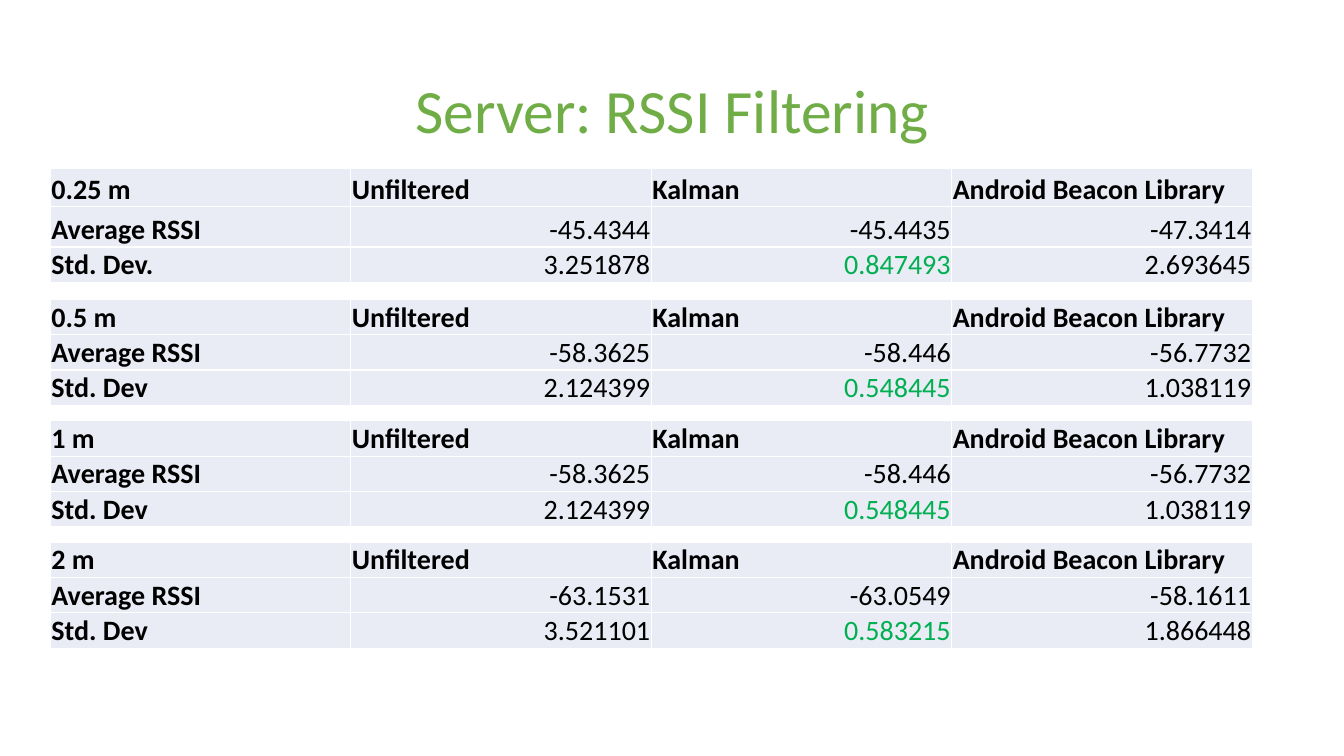
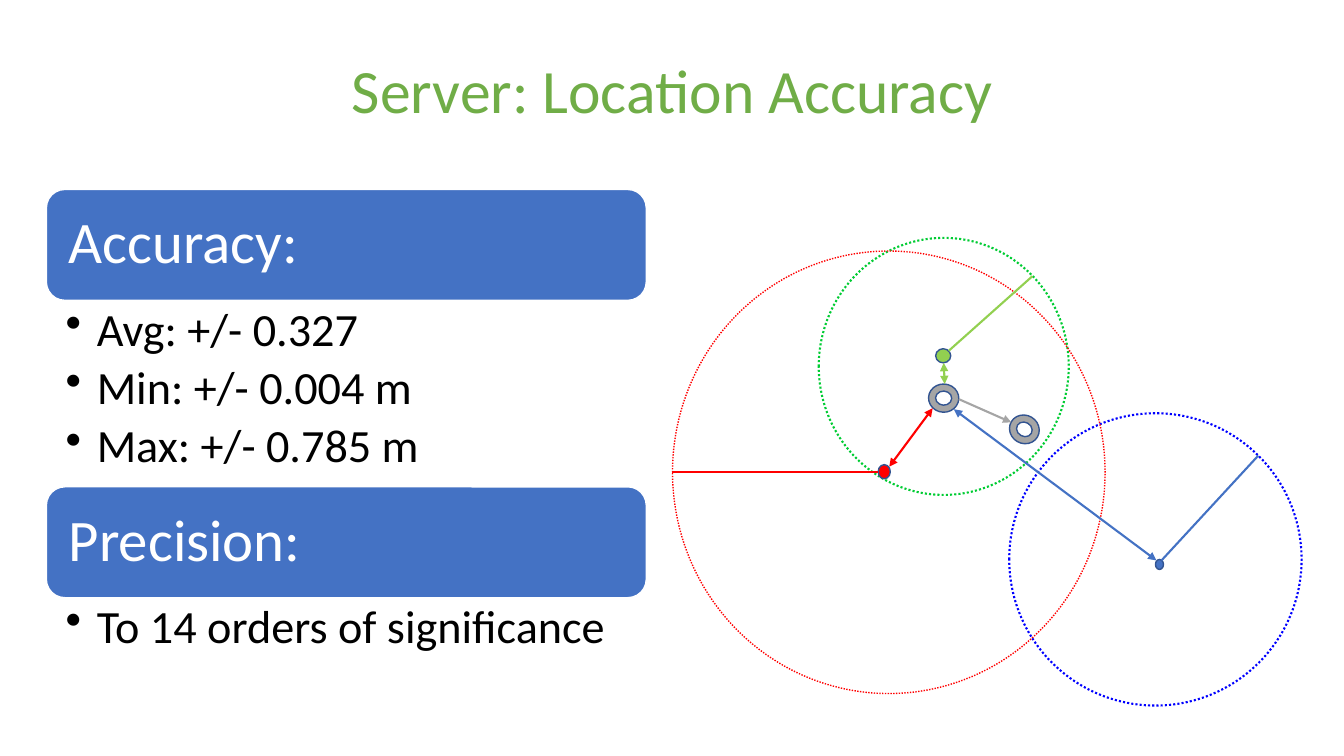
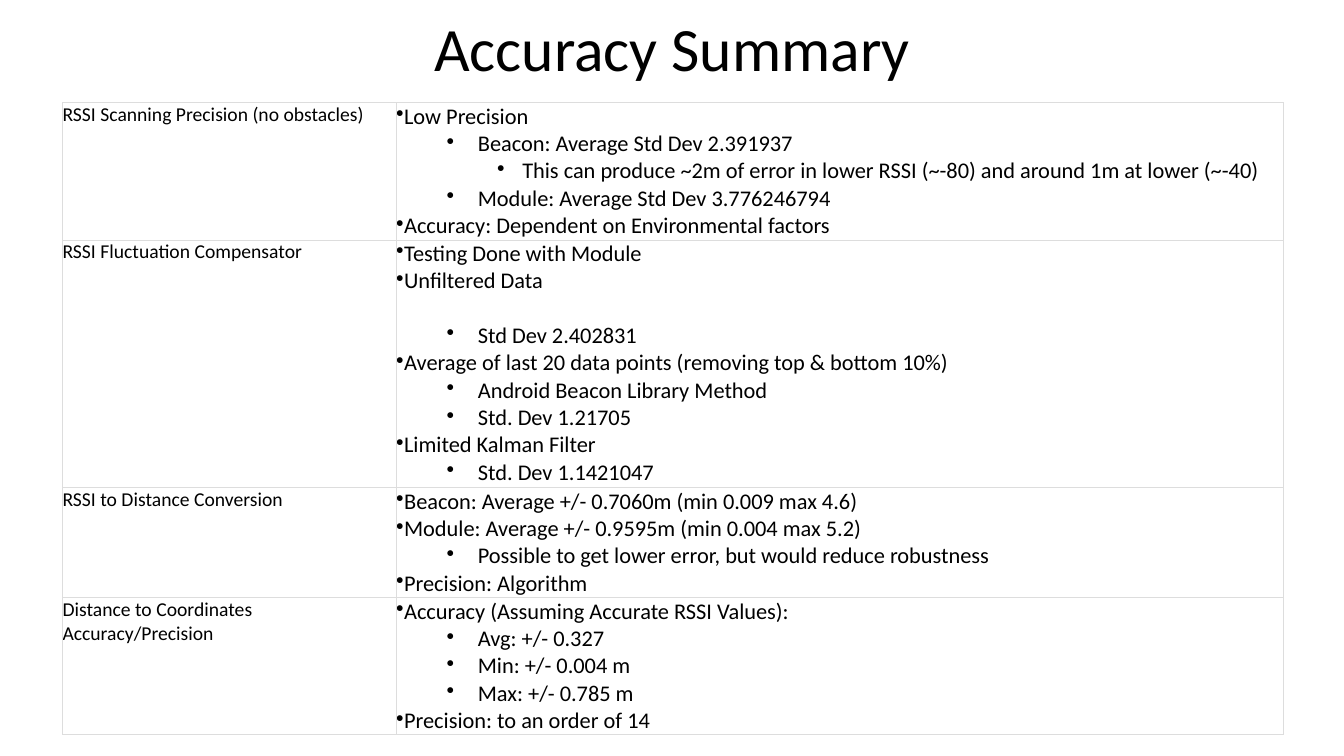
from lxml.etree import SubElement
from pptx import Presentation
from pptx.dml.color import RGBColor
from pptx.enum.dml import MSO_LINE
from pptx.enum.shapes import MSO_CONNECTOR, MSO_SHAPE
from pptx.enum.text import MSO_ANCHOR, PP_ALIGN
from pptx.oxml.ns import qn
from pptx.util import Inches, Pt

FONT = "Calibri"
COLORS = {
    "black": "000000",
    "white": "FFFFFF",
    "title": "70AD47",
    "best": "00B050",
    "cell": "E9EBF5",
    "grid": "DDDDDD",
    "blue": "4472C4",
    "outline": "325491",
    "red": "FF0000",
    "green": "92D050",
    "gray": "A5A5A5",
    "green_range": "00CC33",
    "blue_range": "0000FF",
}
# Left margin and hanging indent of each outline level in the summary table
LEVELS = [(0, 0), (0.81, 0.31), (1.25, 0.25)]


def rgb(name):
    return RGBColor.from_string(COLORS[name])


def write(frame, text, size=20, color="black", bold=False, align=PP_ALIGN.LEFT,
          spacing=None, after=0, bullet=None):
    """Add a paragraph; bullet is its left margin and hanging indent in inches."""
    paragraph = frame.paragraphs[0] if not frame.text else frame.add_paragraph()
    paragraph.alignment = align
    paragraph.space_after = Pt(after)
    if spacing:
        paragraph.line_spacing = spacing
    if bullet:
        margin, hanging = bullet
        properties = paragraph._p.get_or_add_pPr()
        properties.set("marL", str(Inches(margin)))
        properties.set("indent", str(-Inches(hanging)))
        SubElement(properties, qn("a:buChar"), char="•")
    run = paragraph.add_run()
    run.text = text
    run.font.name = FONT
    run.font.size = Pt(size)
    run.font.bold = bold
    run.font.color.rgb = rgb(color)


def set_insets(target, left, top, right, bottom):
    target.margin_left, target.margin_top = Inches(left), Inches(top)
    target.margin_right, target.margin_bottom = Inches(right), Inches(bottom)


class Deck:
    def __init__(self):
        self.presentation = Presentation()
        self.presentation.slide_width = Inches(13.33)
        self.presentation.slide_height = Inches(7.5)
        self.slide = None

    def new_slide(self, title, top, height=1.45, color="title"):
        self.slide = self.presentation.slides.add_slide(self.presentation.slide_layouts[6])
        frame = self.text_frame(0.92, top, 11.5, height)
        frame.vertical_anchor = MSO_ANCHOR.MIDDLE
        write(frame, title, size=44, color=color, align=PP_ALIGN.CENTER, spacing=0.9)

    def text_frame(self, left, top, width, height):
        box = self.slide.shapes.add_textbox(
            Inches(left), Inches(top), Inches(width), Inches(height))
        box.text_frame.word_wrap = True
        return box.text_frame

    def shape(self, kind, left, top, width, height, fill=None, line="outline",
              weight=1, dash=None, rotation=0):
        shape = self.slide.shapes.add_shape(
            kind, Inches(left), Inches(top), Inches(width), Inches(height))
        shape.shadow.inherit = False
        shape.rotation = rotation
        if fill:
            shape.fill.solid()
            shape.fill.fore_color.rgb = rgb(fill)
        else:
            shape.fill.background()
        shape.line.color.rgb = rgb(line)
        shape.line.width = Pt(weight)
        if dash:
            shape.line.dash_style = dash
        return shape

    def line(self, start, end, color, arrows=()):
        """Draw a line; arrows names its pointed ends, headEnd before tailEnd."""
        connector = self.slide.shapes.add_connector(
            MSO_CONNECTOR.STRAIGHT, *(Inches(value) for value in (*start, *end)))
        connector.line.color.rgb = rgb(color)
        connector.line.width = Pt(1.5)
        properties = connector._element.spPr
        for arrow in arrows:
            SubElement(properties.find(qn("a:ln")), qn(f"a:{arrow}"), type="triangle")
        SubElement(properties, qn("a:effectLst"))

    def table(self, left, top, widths, heights):
        table = self.slide.shapes.add_table(
            len(heights), len(widths), Inches(left), Inches(top),
            Inches(sum(widths)), Inches(sum(heights))).table
        table.first_row = table.horz_banding = False
        for column, width in zip(table.columns, widths):
            column.width = Inches(width)
        for row, height in zip(table.rows, heights):
            row.height = Inches(height)
        return table

    def style_cell(self, cell, fill, border, weight, insets, anchor):
        properties = cell._tc.get_or_add_tcPr()
        for side in ("lnL", "lnR", "lnT", "lnB"):
            edge = SubElement(properties, qn(f"a:{side}"), w=str(Pt(weight)))
            solid = SubElement(edge, qn("a:solidFill"))
            SubElement(solid, qn("a:srgbClr"), val=COLORS[border])
        cell.fill.solid()
        cell.fill.fore_color.rgb = rgb(fill)
        cell.vertical_anchor = anchor
        set_insets(cell, *insets)

    def rssi_table(self, top, distance, averages, deviations, label="Std. Dev",
                   heights=(0.35, 0.35, 0.35)):
        rows = [
            (distance, "Unfiltered", "Kalman", "Android Beacon Library"),
            ("Average RSSI", *averages),
            (label, *deviations),
        ]
        table = self.table(0.5, top, [2.98] * 4, heights)
        for i, row in enumerate(rows):
            for j, text in enumerate(row):
                cell = table.cell(i, j)
                self.style_cell(cell, "cell", "white", 1, (0.01, 0.01, 0.01, 0),
                                MSO_ANCHOR.BOTTOM)
                heading = i == 0 or j == 0
                write(cell.text_frame, text, bold=heading,
                      color="best" if (i, j) == (2, 2) else "black",
                      align=PP_ALIGN.LEFT if heading else PP_ALIGN.RIGHT)

    def result_block(self, top, heading, items, height):
        """Draw a blue heading bar with a bulleted list under it."""
        bar = self.shape(MSO_SHAPE.ROUNDED_RECTANGLE, 0.46, top, 5.95, 1.1, "blue", "white")
        bar.text_frame.vertical_anchor = MSO_ANCHOR.MIDDLE
        set_insets(bar.text_frame, 0.17, 0.17, 0.17, 0.17)
        write(bar.text_frame, heading, size=42, color="white", spacing=0.9)
        frame = self.text_frame(0.46, top + 1.1, 5.95, height)
        set_insets(frame, 0.19, 0.06, 0.33, 0.06)
        for item in items:
            write(frame, item, size=33, spacing=0.9, after=6, bullet=(0.31, 0.31))


def build_filtering(deck):
    deck.new_slide("Server: RSSI Filtering", 0.4)
    deck.rssi_table(1.67, "0.25 m", ("-45.4344", "-45.4435", "-47.3414"),
                    ("3.251878", "0.847493", "2.693645"),
                    label="Std. Dev.", heights=(0.38, 0.4, 0.35))
    middle = (("-58.3625", "-58.446", "-56.7732"), ("2.124399", "0.548445", "1.038119"))
    far = (("-63.1531", "-63.0549", "-58.1611"), ("3.521101", "0.583215", "1.866448"))
    for i, (distance, values) in enumerate((("0.5 m", middle), ("1 m", middle), ("2 m", far))):
        deck.rssi_table(2.97 + 1.205 * i, distance, *values)


def build_location(deck):
    deck.new_slide("Server: Location Accuracy", 0.2)
    ranges = [
        (8.12, 2.36, 2.48, 2.55, "green_range", 1.5),
        (10.01, 4.1, 2.9, 2.9, "blue_range", 1.5),
        (6.67, 2.49, 4.29, 4.39, "red", 1),
    ]
    for *place, color, weight in ranges:
        deck.shape(MSO_SHAPE.OVAL, *place, line=color, weight=weight, dash=MSO_LINE.ROUND_DOT)

    beacons = [
        (9.28, 3.46, 0.15, 0.14, "green"),
        (8.71, 4.61, 0.12, 0.14, "red"),
        (11.46, 5.55, 0.08, 0.1, "blue"),
    ]
    for beacon in beacons:
        deck.shape(MSO_SHAPE.FLOWCHART_CONNECTOR, *beacon)
    for left, top, rotation in ((9.21, 3.81, 2.5), (10.01, 4.12, 30.2)):
        deck.shape(MSO_SHAPE.DONUT, left, top, 0.3, 0.28, "gray", rotation=rotation)

    both = ("headEnd", "tailEnd")
    deck.line((8.82, 4.63), (9.25, 4.05), "red", both)
    deck.line((9.36, 3.6), (9.37, 3.81), "green", both)
    deck.line((9.46, 4.06), (11.47, 5.56), "blue", both)
    deck.line((10.24, 2.74), (9.41, 3.48), "green")
    deck.line((8.71, 4.68), (6.67, 4.68), "red")
    deck.line((12.48, 4.52), (11.52, 5.56), "blue")
    deck.line((9.51, 3.96), (10.03, 4.19), "gray", ("tailEnd",))

    deck.result_block(1.88, "Accuracy:",
                      ["Avg: +/- 0.327", "Min: +/- 0.004 m", "Max: +/- 0.785 m"], 1.85)
    deck.result_block(4.83, "Precision:", ["To 14 orders of significance"], 0.76)


def build_summary(deck):
    deck.new_slide("Accuracy Summary", 0, 1.02, "black")
    topics = [
        ("RSSI Scanning Precision (no obstacles)", [
            (0, "Low Precision"),
            (1, "Beacon: Average Std Dev 2.391937"),
            (2, "This can produce ~2m of error in lower RSSI (~-80) and around 1m at lower (~-40)"),
            (1, "Module: Average Std Dev 3.776246794"),
            (0, "Accuracy: Dependent on Environmental factors"),
        ]),
        ("RSSI Fluctuation Compensator", [
            (0, "Testing Done with Module"),
            (0, "Unfiltered Data", 19.5),
            (1, "Std Dev 2.402831"),
            (0, "Average of last 20 data points (removing top & bottom 10%)"),
            (1, "Android Beacon Library Method"),
            (1, "Std. Dev 1.21705"),
            (0, "Limited Kalman Filter"),
            (1, "Std. Dev 1.1421047"),
        ]),
        ("RSSI to Distance Conversion", [
            (0, "Beacon: Average +/- 0.7060m (min 0.009 max 4.6)"),
            (0, "Module: Average +/- 0.9595m (min 0.004 max 5.2)"),
            (1, "Possible to get lower error, but would reduce robustness"),
            (0, "Precision: Algorithm"),
        ]),
        ("Distance to Coordinates Accuracy/Precision", [
            (0, "Accuracy (Assuming Accurate RSSI Values):"),
            (1, "Avg: +/- 0.327"),
            (1, "Min: +/- 0.004 m"),
            (1, "Max: +/- 0.785 m"),
            (0, "Precision: to an order of 14"),
        ]),
    ]
    table = deck.table(0.62, 1.02, [3.31, 8.8], [1.36, 2.46, 1.09, 1.36])
    for row, (topic, findings) in enumerate(topics):
        for column in range(2):
            deck.style_cell(table.cell(row, column), "white", "grid", 0.6,
                            (0, 0, 0, 0), MSO_ANCHOR.TOP)
        write(table.cell(row, 0).text_frame, topic, size=14)
        for level, text, *gap in findings:
            write(table.cell(row, 1).text_frame, text, size=16,
                  bullet=LEVELS[level], after=sum(gap))


def main():
    deck = Deck()
    build_filtering(deck)
    build_location(deck)
    build_summary(deck)
    deck.presentation.save("out.pptx")


if __name__ == "__main__":
    main()
